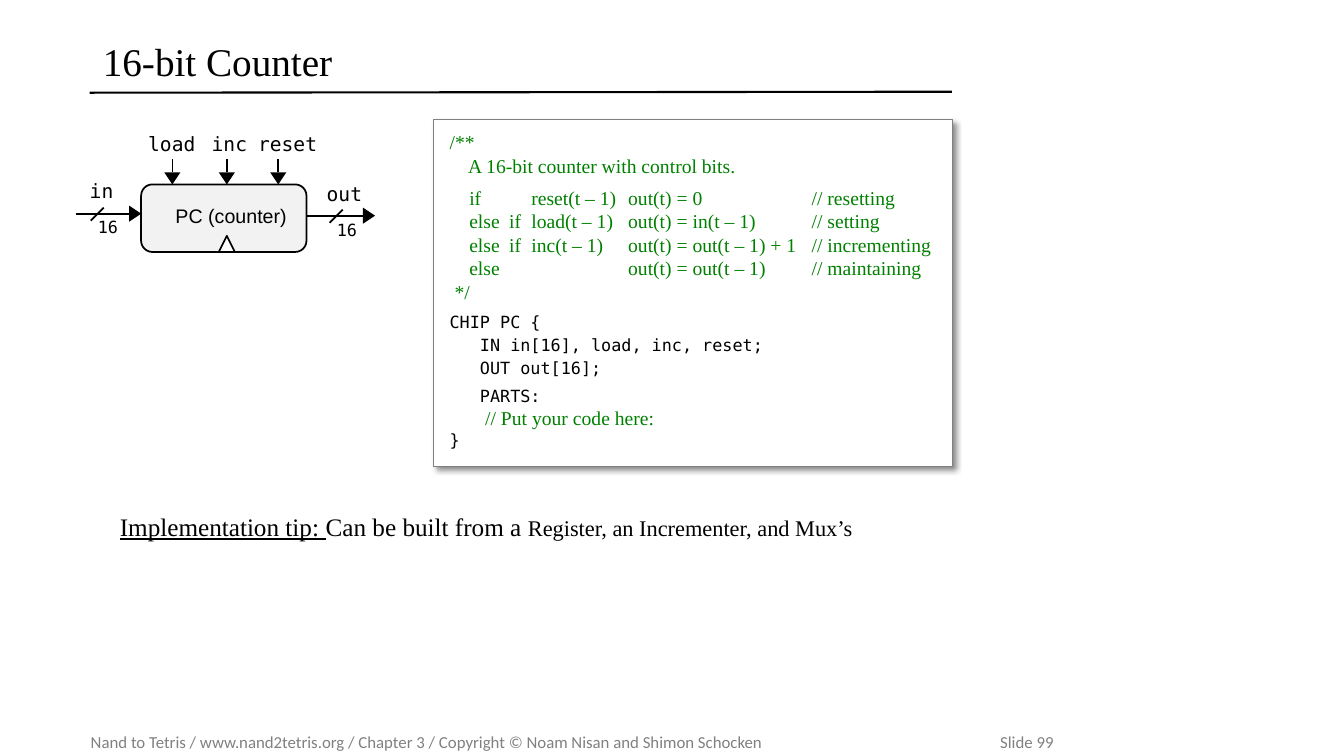
from lxml import etree
from pptx import Presentation
from pptx.dml.color import RGBColor
from pptx.enum import shapes, text
from pptx.oxml import ns
from pptx.util import Inches, Pt

BLACK = RGBColor(0x00, 0x00, 0x00)
WHITE = RGBColor(0xFF, 0xFF, 0xFF)
GRAY = RGBColor(0x80, 0x80, 0x80)
PALE = RGBColor(0xF2, 0xF2, 0xF2)
GREEN = RGBColor(0x00, 0x80, 0x00)
SERIF, MONO, SANS = "Times New Roman", "DejaVu Sans Mono", "Arial"

# Code lines: text, space before (points), green comment or not
CODE = [
    ("/**", 0, True),
    ("    A 16-bit counter with control bits.", 0, True),
    ("    if\t\treset(t – 1)\tout(t) = 0\t// resetting", 6, True),
    ("    else\tif\tload(t – 1)\tout(t) = in(t – 1)\t// setting", 0, True),
    ("    else\tif\tinc(t – 1)\tout(t) = out(t – 1) + 1\t// incrementing", 0, True),
    ("    else\t\t\tout(t) = out(t – 1)\t// maintaining", 0, True),
    (" */", 0, True),
    ("CHIP PC {", 6, False),
    ("   IN in[16], load, inc, reset;", 2, False),
    ("   OUT out[16];", 2, False),
    ("   PARTS:", 6, False),
    ("   // Put your code here:", 0, True),
    ("}", 0, False),
]
STOPS = [0.59, 0.81, 1.77, 3.59]


def style(font, size, name, color=BLACK):
    font.size, font.name = Pt(size), name
    font.color.rgb = color


def add_tabs(para, stops):
    tabs = etree.SubElement(para._p.get_or_add_pPr(), ns.qn("a:tabLst"))
    for stop in stops:
        etree.SubElement(tabs, ns.qn("a:tab"), pos=str(Inches(stop)), algn="l")


def set_pads(frame, side, top):
    frame.margin_left = frame.margin_right = Inches(side)
    frame.margin_top = frame.margin_bottom = Inches(top)


def add_label(slide, words, left, top, width, size=14, name=MONO):
    high = 0.24 if size == 14 else 0.2
    box = slide.shapes.add_textbox(*map(Inches, (left, top, width, high)))
    frame = box.text_frame
    set_pads(frame, 0, 0)
    frame.word_wrap = False
    para = frame.paragraphs[0]
    para.text = words
    style(para.font, size, name)


def add_line(slide, x1, y1, x2, y2, width=1.25):
    line = slide.shapes.add_connector(
        shapes.MSO_CONNECTOR.STRAIGHT, *map(Inches, (x1, y1, x2, y2)))
    line.line.color.rgb = BLACK
    line.line.width = Pt(width)
    etree.SubElement(line._element.spPr, ns.qn("a:effectLst"))


def add_wedge(slide, points, fill, edge=None):
    first, *rest = [tuple(map(Inches, p)) for p in points]
    build = slide.shapes.build_freeform(*first)
    build.add_line_segments(rest, close=True)
    wedge = build.convert_to_shape()
    wedge.shadow.inherit = False
    wedge.fill.solid()
    wedge.fill.fore_color.rgb = fill
    if edge is None:
        wedge.line.fill.background()
    else:
        wedge.line.color.rgb = edge
        wedge.line.width = Pt(1.25)


def add_arrow(slide, x1, y1, x2, y2):
    """Level or upright arrow with a solid head, tip at x2, y2."""
    long, half = 0.12, 0.08
    if y1 == y2:
        neck = (x2 - long, y2)
        ends = [(neck[0], y2 - half), (neck[0], y2 + half)]
    else:
        neck = (x2, y2 - long)
        ends = [(x2 - half, neck[1]), (x2 + half, neck[1])]
    add_line(slide, x1, y1, *neck)
    add_wedge(slide, [(x2, y2), *ends], BLACK)


def add_bus(slide, x1, x2, y, slash):
    """Arrow with the slash that marks a 16-bit bus."""
    add_arrow(slide, x1, y, x2, y)
    add_line(slide, slash, y + 0.07, slash + 0.13, y - 0.06)


def add_box(slide, kind, place, fill, edge, width):
    box = slide.shapes.add_shape(kind, *map(Inches, place))
    box.shadow.inherit = False
    box.fill.solid()
    box.fill.fore_color.rgb = fill
    box.line.color.rgb = edge
    box.line.width = Pt(width)
    return box


def add_shade(box):
    glow = box._element.spPr.find(ns.qn("a:effectLst"))
    shade = etree.SubElement(glow, ns.qn("a:outerShdw"), blurRad=str(Pt(4)),
                             dist=str(Pt(3)), dir="2700000", algn="tl", rotWithShape="0")
    tone = etree.SubElement(shade, ns.qn("a:srgbClr"), val="000000")
    etree.SubElement(tone, ns.qn("a:alpha"), val="43000")


def add_code(slide):
    box = add_box(slide, shapes.MSO_SHAPE.RECTANGLE, (4.3, 1.19, 5.15, 3.44),
                  WHITE, GRAY, 0.75)
    add_shade(box)
    frame = box.text_frame
    set_pads(frame, 0.16, 0.1)
    frame.vertical_anchor = text.MSO_ANCHOR.TOP
    for i, (words, gap, note) in enumerate(CODE):
        para = frame.paragraphs[0] if i == 0 else frame.add_paragraph()
        para.alignment = text.PP_ALIGN.LEFT
        if "\t" in words:
            add_tabs(para, STOPS)
        if gap:
            para.space_before = Pt(gap)
        if words.startswith("   //"):
            # Monospaced indent before a serif comment
            for part, name in ((words[:3], MONO), (words[3:], SERIF)):
                run = para.add_run()
                run.text = part
                style(run.font, 14, name, GREEN)
        else:
            para.text = words
            style(para.font, *((14, SERIF, GREEN) if note else (12, MONO, BLACK)))


def add_chip(slide):
    add_box(slide, shapes.MSO_SHAPE.ROUNDED_RECTANGLE, (1.4, 1.83, 1.64, 0.67),
            PALE, BLACK, 1.25)
    # Clock mark
    add_wedge(slide, [(2.33, 2.5), (2.17, 2.5), (2.25, 2.34)], WHITE, BLACK)
    add_label(slide, "PC (counter)", 1.74, 2.02, 1.11, name=SANS)
    # Data buses
    add_bus(slide, 0.75, 1.4, 2.12, 0.9)
    add_bus(slide, 3.04, 3.72, 2.14, 3.27)
    add_label(slide, "in", 0.89, 1.78, 0.4)
    add_label(slide, "out", 3.24, 1.8, 0.39)
    for left, top in ((0.97, 2.15), (3.34, 2.18)):
        add_label(slide, "16", left, top, 0.29, 12)
    # Control bits
    for name, left, x in (("load", 1.47, 1.71), ("inc", 2.1, 2.25), ("reset", 2.56, 2.76)):
        add_label(slide, name, left, 1.31, 0.63)
        add_arrow(slide, x, 1.58, x, 1.83)


def add_title(slide):
    title = slide.shapes.title
    title.left, title.top, title.width, title.height = map(Inches, (0.92, 0.32, 8.53, 0.63))
    title.text_frame.vertical_anchor = text.MSO_ANCHOR.MIDDLE
    para = title.text_frame.paragraphs[0]
    para.text = "16-bit Counter"
    para.alignment = text.PP_ALIGN.LEFT
    para.line_spacing = 0.9
    style(para.font, 28, SERIF)
    add_line(slide, 0.89, 0.92, 9.44, 0.91, 1.5)


def add_tip(slide):
    box = slide.shapes.add_textbox(*map(Inches, (1.09, 5.02, 8.37, 0.65)))
    box.text_frame.word_wrap = True
    para = box.text_frame.paragraphs[0]
    for words, size, under in (("Implementation tip: ", 18, True),
                               ("Can be built from a ", 18, False),
                               ("Register, an Incrementer, and Mux’s", 16, False)):
        run = para.add_run()
        run.text = words
        style(run.font, size, SERIF)
        run.font.underline = under


def add_foot(slide):
    box = slide.shapes.add_textbox(*map(Inches, (0.9, 7.21, 12.25, 0.3)))
    frame = box.text_frame
    set_pads(frame, 0, 0.05)
    frame.word_wrap = True
    frame.vertical_anchor = text.MSO_ANCHOR.MIDDLE
    para = frame.paragraphs[0]
    add_tabs(para, [9.02])
    para.text = ("Nand to Tetris / www.nand2tetris.org / Chapter 3 / "
                 "Copyright © Noam Nisan and Shimon Schocken\tSlide 99")
    style(para.font, 12, "Calibri", GRAY)


def main():
    deck = Presentation()
    deck.slide_width, deck.slide_height = Inches(13.33), Inches(7.5)
    slide = deck.slides.add_slide(deck.slide_layouts.get_by_name("Title Only"))
    add_foot(slide)
    add_title(slide)
    add_tip(slide)
    add_code(slide)
    add_chip(slide)
    deck.save("out.pptx")


if __name__ == "__main__":
    main()
